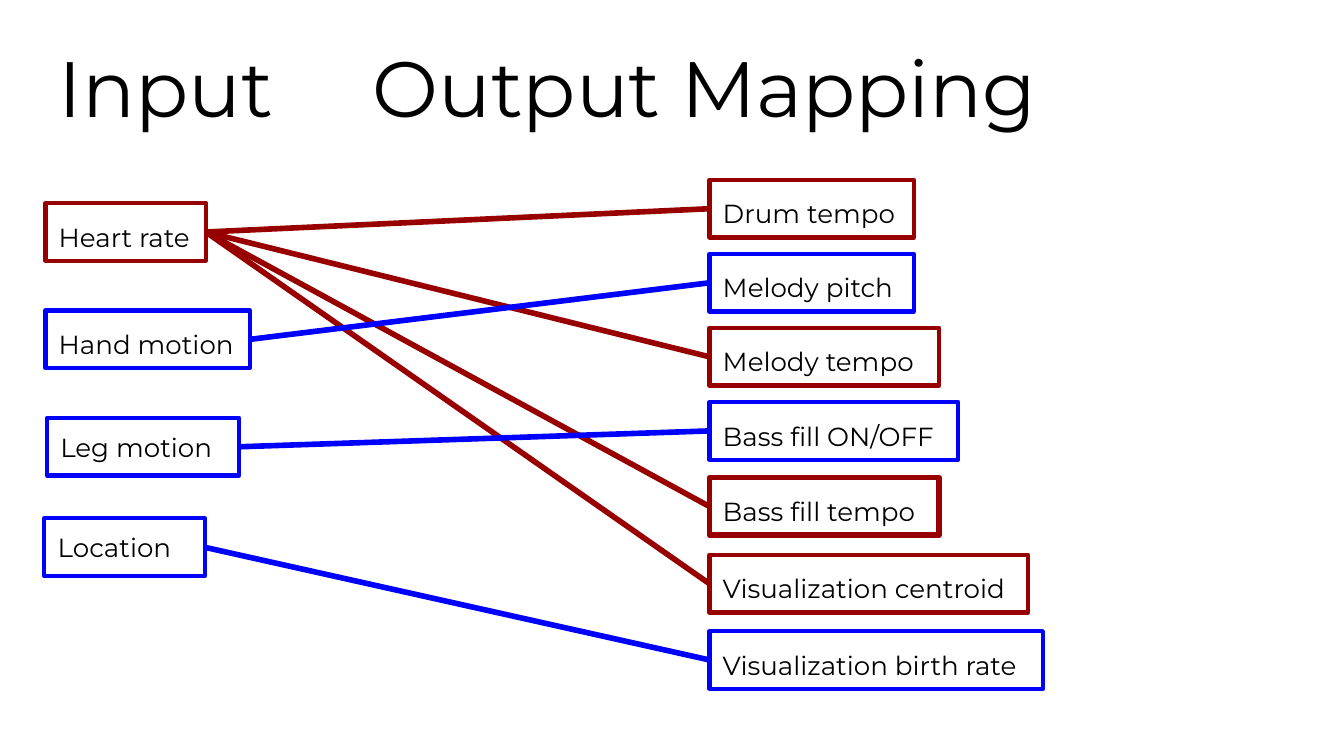
from dataclasses import dataclass

from lxml import etree
from pptx import Presentation
from pptx.dml.color import RGBColor
from pptx.enum.shapes import MSO_CONNECTOR, MSO_SHAPE
from pptx.enum.text import MSO_ANCHOR, PP_ALIGN
from pptx.oxml.ns import qn
from pptx.util import Cm, Pt

RECTANGLE = MSO_SHAPE.RECTANGLE
STRAIGHT = MSO_CONNECTOR.STRAIGHT
TOP, BOTTOM = MSO_ANCHOR.TOP, MSO_ANCHOR.BOTTOM
LEFT = PP_ALIGN.LEFT
LEFT_SIDE, RIGHT_SIDE = 1, 3

COLORS = {"text": "000000", "heart": "980000", "motion": "0000FF"}
FONT = "Montserrat"
INSET = Cm(0.25)
BOX_HEIGHT = Cm(1.09)
OUTPUT_LEFT = 13.41


@dataclass
class Signal:
    label: str
    left: float
    top: float
    width: float
    color: str
    spacing: float = 1.15
    border: float = 2.25


INPUTS = [
    Signal("Heart rate", 0.86, 3.84, 3.03, "heart"),
    Signal("Hand motion", 0.86, 5.87, 3.86, "motion"),
    Signal("Leg motion", 0.89, 7.9, 3.63, "motion", spacing=1),
    Signal("Location", 0.84, 9.8, 3.03, "motion", spacing=1),
]
OUTPUTS = [
    Signal("Drum tempo", OUTPUT_LEFT, 3.4, 3.86, "heart"),
    Signal("Melody pitch", OUTPUT_LEFT, 4.8, 3.86, "motion"),
    Signal("Melody tempo", OUTPUT_LEFT, 6.2, 4.34, "heart"),
    Signal("Bass fill ON/OFF", OUTPUT_LEFT, 7.6, 4.7, "motion"),
    Signal("Bass fill tempo", OUTPUT_LEFT, 9.03, 4.34, "heart", border=3),
    Signal("Visualization centroid", OUTPUT_LEFT, 10.49, 6.02, "heart"),
    Signal("Visualization birth rate", OUTPUT_LEFT, 11.93, 6.3, "motion"),
]
MAPPING = {
    "Heart rate": ["Drum tempo", "Melody tempo", "Bass fill tempo",
                   "Visualization centroid"],
    "Hand motion": ["Melody pitch"],
    "Leg motion": ["Bass fill ON/OFF"],
    "Location": ["Visualization birth rate"],
}


def rgb(name: str) -> RGBColor:
    return RGBColor.from_string(COLORS[name])


def write_text(shape, text: str, size: float, anchor, spacing: float = 1,
               tab_stop: float | None = None) -> None:
    frame = shape.text_frame
    frame.word_wrap = True
    frame.vertical_anchor = anchor
    frame.margin_left = frame.margin_right = INSET
    frame.margin_top = frame.margin_bottom = INSET
    line = frame.paragraphs[0]
    line.text = text
    line.alignment = LEFT
    line.line_spacing = spacing
    if tab_stop is not None:
        tabs = etree.SubElement(line._p.get_or_add_pPr(), qn("a:tabLst"))
        etree.SubElement(tabs, qn("a:tab"), pos=str(Cm(tab_stop)), algn="l")
    line.font.name = FONT
    line.font.size = Pt(size)
    line.font.color.rgb = rgb("text")


def add_signal(slide, signal: Signal):
    box = slide.shapes.add_shape(RECTANGLE, Cm(signal.left), Cm(signal.top),
                                 Cm(signal.width), BOX_HEIGHT)
    box.shadow.inherit = False
    box.fill.background()
    box.line.color.rgb = rgb(signal.color)
    box.line.width = Pt(signal.border)
    write_text(box, signal.label, 14, TOP, signal.spacing)
    return box


def add_link(slide, source, target, color: str) -> None:
    link = slide.shapes.add_connector(STRAIGHT, 0, 0, 0, 0)
    link.begin_connect(source, RIGHT_SIDE)
    link.end_connect(target, LEFT_SIDE)
    link.line.color.rgb = rgb(color)
    link.line.width = Pt(3)
    etree.SubElement(link._element.spPr, qn("a:effectLst"))


def main() -> None:
    deck = Presentation()
    deck.slide_width, deck.slide_height = Cm(25.4), Cm(14.29)
    slide = deck.slides.add_slide(deck.slide_layouts[6])

    # Title, with a tab between its two parts
    title = slide.shapes.add_textbox(Cm(0.86), Cm(0.46), Cm(23.67), Cm(2.31))
    write_text(title, "Input\tOutput Mapping", 42, BOTTOM, tab_stop=5.93)

    # Input and output boxes
    boxes = {signal.label: add_signal(slide, signal)
             for signal in INPUTS + OUTPUTS}

    # Links from each input to the outputs it drives
    for signal in INPUTS:
        for driven in MAPPING[signal.label]:
            add_link(slide, boxes[signal.label], boxes[driven], signal.color)

    deck.save("out.pptx")


if __name__ == "__main__":
    main()
